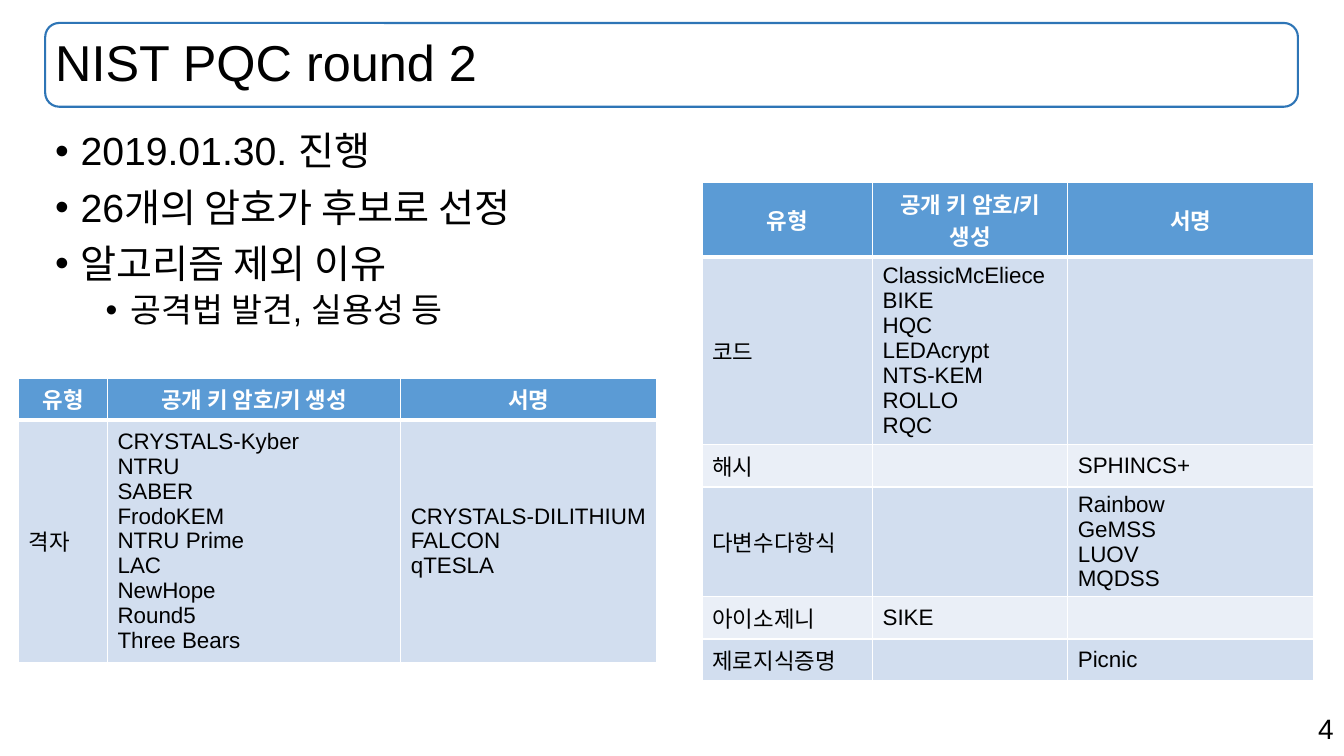
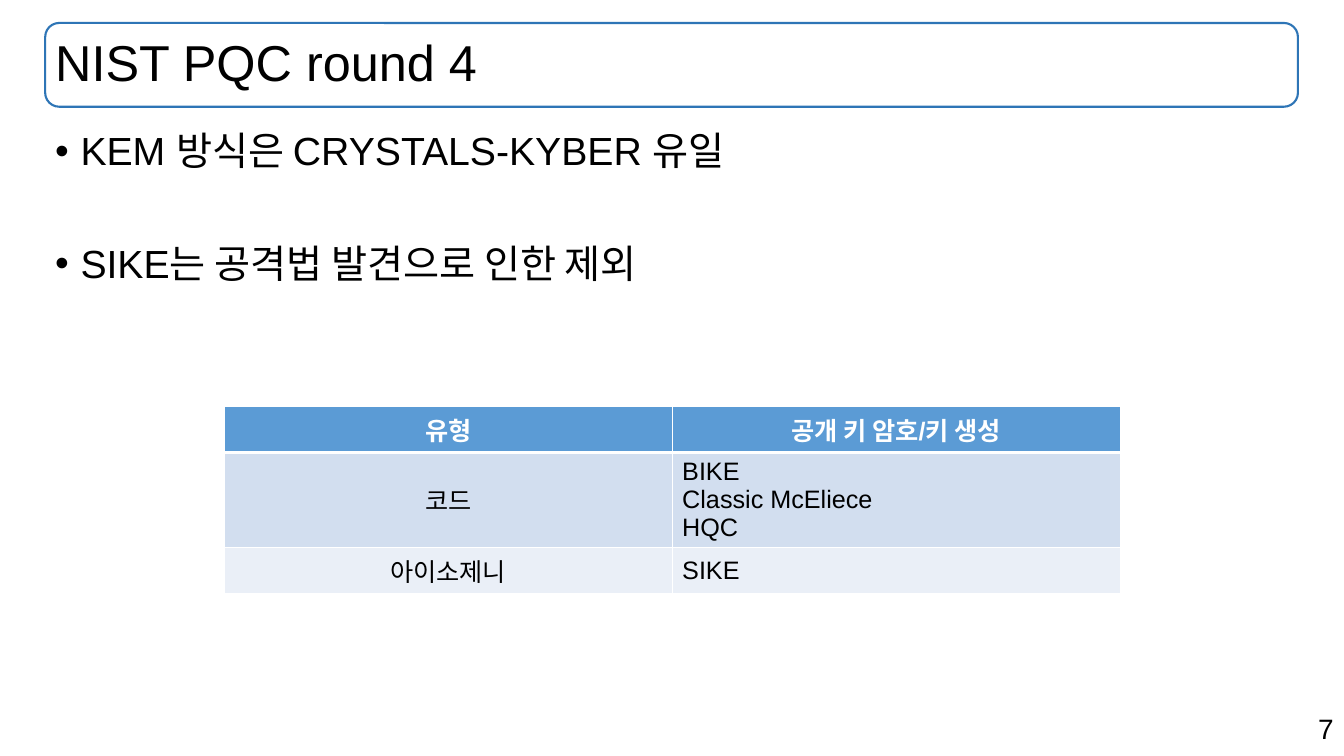
from dataclasses import dataclass

from lxml import etree
from pptx import Presentation
from pptx import util as u
from pptx.dml.color import RGBColor
from pptx.enum import shapes, text
from pptx.oxml.ns import qn


@dataclass(frozen=True)
class Theme:
    font: str = "Arial"
    ink: str = "000000"
    white: str = "FFFFFF"
    frame: str = "2E75B6"
    header: str = "5B9BD5"
    bands: tuple = ("D2DEEF", "EAEFF7")
    title_size: int = 36
    body_sizes: tuple = (28, 24)
    page_size: int = 20


THEME = Theme()
LEFT, CONTENT_WIDTH = 1.14, 31.57
ROW = 1.06  # a one-line table row at 16 points
TALL_ROW = 1.17  # a one-line table row at 18 points
LINE_GAP = 40  # one empty body line, in points
KEY_HEADING = "공개 키 암호/키 생성"


class SlideWriter:
    def __init__(self, deck, theme):
        self.deck = deck
        self.theme = theme
        self.slide = None

    def start(self, title, number):
        self.slide = self.deck.slides.add_slide(self.deck.slide_layouts[6])
        self.title(title)
        self.page_number(number)

    def style(self, para, size, color=None, bold=False):
        para.font.name = self.theme.font
        para.font.size = u.Pt(size)
        para.font.bold = bold
        para.font.color.rgb = RGBColor.from_string(color or self.theme.ink)

    def title(self, words):
        box = self.slide.shapes.add_shape(
            shapes.MSO_SHAPE.ROUNDED_RECTANGLE,
            u.Cm(LEFT), u.Cm(0.58), u.Cm(CONTENT_WIDTH), u.Cm(2.11))
        box.shadow.inherit = False
        box.fill.background()
        box.line.color.rgb = RGBColor.from_string(self.theme.frame)
        box.line.width = u.Pt(1.5)
        frame = box.text_frame
        frame.margin_left = u.Cm(0.15)
        frame.vertical_anchor = text.MSO_ANCHOR.MIDDLE
        para = frame.paragraphs[0]
        para.text = words
        para.alignment = text.PP_ALIGN.LEFT
        para.line_spacing = 0.9
        self.style(para, self.theme.title_size)

    def page_number(self, number):
        box = self.slide.shapes.add_textbox(
            u.Cm(23.95), u.Cm(17.81), u.Cm(9.91), u.Cm(1.11))
        box.text_frame.word_wrap = True
        para = box.text_frame.paragraphs[0]
        para.text = str(number)
        para.alignment = text.PP_ALIGN.RIGHT
        self.style(para, self.theme.page_size)

    def bullets(self, items):
        """Write (level, words, space before in points) items as a list."""
        box = self.slide.shapes.add_textbox(
            u.Cm(LEFT), u.Cm(3.2), u.Cm(CONTENT_WIDTH), u.Cm(14.05))
        frame = box.text_frame
        frame.word_wrap = True
        for index, (level, words, space) in enumerate(items):
            para = frame.add_paragraph() if index else frame.paragraphs[0]
            para.text = words
            para.level = level
            para.line_spacing = 0.9
            para.space_before = u.Pt(space)
            properties = para._p.get_or_add_pPr()
            properties.set("marL", str(u.Cm(0.64 + 1.27 * level)))
            properties.set("indent", str(-u.Cm(0.64)))
            etree.SubElement(properties, qn("a:buFont"), typeface="Arial")
            etree.SubElement(properties, qn("a:buChar"), char="•")
            self.style(para, self.theme.body_sizes[level])

    def borders(self, cell, top, bottom):
        """Rule a filled cell in white; the line elements precede its fill."""
        properties = cell._tc.get_or_add_tcPr()
        widths = {"lnL": 1, "lnR": 1, "lnT": top, "lnB": bottom}
        for index, (side, width) in enumerate(widths.items()):
            line = etree.Element(qn(f"a:{side}"), w=str(u.Pt(width)))
            fill = etree.SubElement(line, qn("a:solidFill"))
            etree.SubElement(fill, qn("a:srgbClr"), val=self.theme.white)
            properties.insert(index, line)

    def table(self, left, top, widths, rows, size, center_first=False):
        """Draw rows given as (height, cell texts), the first as header."""
        grid = self.slide.shapes.add_table(
            len(rows), len(widths), u.Cm(left), u.Cm(top), u.Cm(sum(widths)),
            u.Cm(sum(height for height, _ in rows))).table
        for column, width in zip(grid.columns, widths):
            column.width = u.Cm(width)
        for r, (height, cells) in enumerate(rows):
            grid.rows[r].height = u.Cm(height)
            is_header = r == 0
            fill = self.theme.header if is_header else self.theme.bands[(r - 1) % 2]
            color = self.theme.white if is_header else self.theme.ink
            for c, words in enumerate(cells):
                cell = grid.cell(r, c)
                cell.text = words
                cell.margin_top = cell.margin_bottom = 0
                cell.vertical_anchor = text.MSO_ANCHOR.MIDDLE
                cell.fill.solid()
                cell.fill.fore_color.rgb = RGBColor.from_string(fill)
                self.borders(cell, 3 if r == 1 else 1, 3 if is_header else 1)
                centered = is_header or (center_first and c == 0)
                for para in cell.text_frame.paragraphs:
                    para.alignment = (text.PP_ALIGN.CENTER if centered
                                      else text.PP_ALIGN.LEFT)
                    self.style(para, size, color, is_header)


def lines(*names):
    return "\n".join(names)


def round_two(writer):
    writer.start("NIST PQC round 2", 4)
    writer.bullets([
        (0, "2019.01.30. 진행", 0),
        (0, "26개의 암호가 후보로 선정", 10),
        (0, "알고리즘 제외 이유", 10),
        (1, "공격법 발견, 실용성 등", 5),
    ])
    heading = ("유형", KEY_HEADING, "서명")
    writer.table(0.47, 9.53, (2.24, 7.39, 6.45), [
        (ROW, heading),
        (5.9, ("격자",
               lines("CRYSTALS-Kyber", "NTRU", "SABER", "FrodoKEM",
                     "NTRU Prime", "LAC", "NewHope", "Round5", "Three Bears"),
               lines("CRYSTALS-DILITHIUM", "FALCON", "qTESLA"))),
    ], 16)
    writer.table(17.7, 4.6, (4.29, 4.92, 6.2), [
        (1.87, heading),
        (4.65, ("코드",
                lines("ClassicMcEliece", "BIKE", "HQC", "LEDAcrypt",
                      "NTS-KEM", "ROLLO", "RQC"), "")),
        (ROW, ("해시", "", "SPHINCS+")),
        (2.77, ("다변수다항식", "",
                lines("Rainbow", "GeMSS", "LUOV", "MQDSS"))),
        (ROW, ("아이소제니", "SIKE", "")),
        (ROW, ("제로지식증명", "", "Picnic")),
    ], 16)


def round_four(writer):
    writer.start("NIST PQC round 4", 7)
    writer.bullets([
        (0, "KEM 방식은 CRYSTALS-KYBER 유일", 0),
        (0, "SIKE는 공격법 발견으로 인한 제외", 10 + LINE_GAP),
    ])
    writer.table(5.65, 10.23, (11.29, 11.29), [
        (TALL_ROW, ("유형", KEY_HEADING)),
        (2.39, ("코드", lines("BIKE", "Classic McEliece", "HQC"))),
        (TALL_ROW, ("아이소제니", "SIKE")),
    ], 18, center_first=True)


def main():
    deck = Presentation()
    deck.slide_width, deck.slide_height = u.Cm(33.87), u.Cm(19.05)
    writer = SlideWriter(deck, THEME)
    round_two(writer)
    round_four(writer)
    deck.save("out.pptx")


if __name__ == "__main__":
    main()
